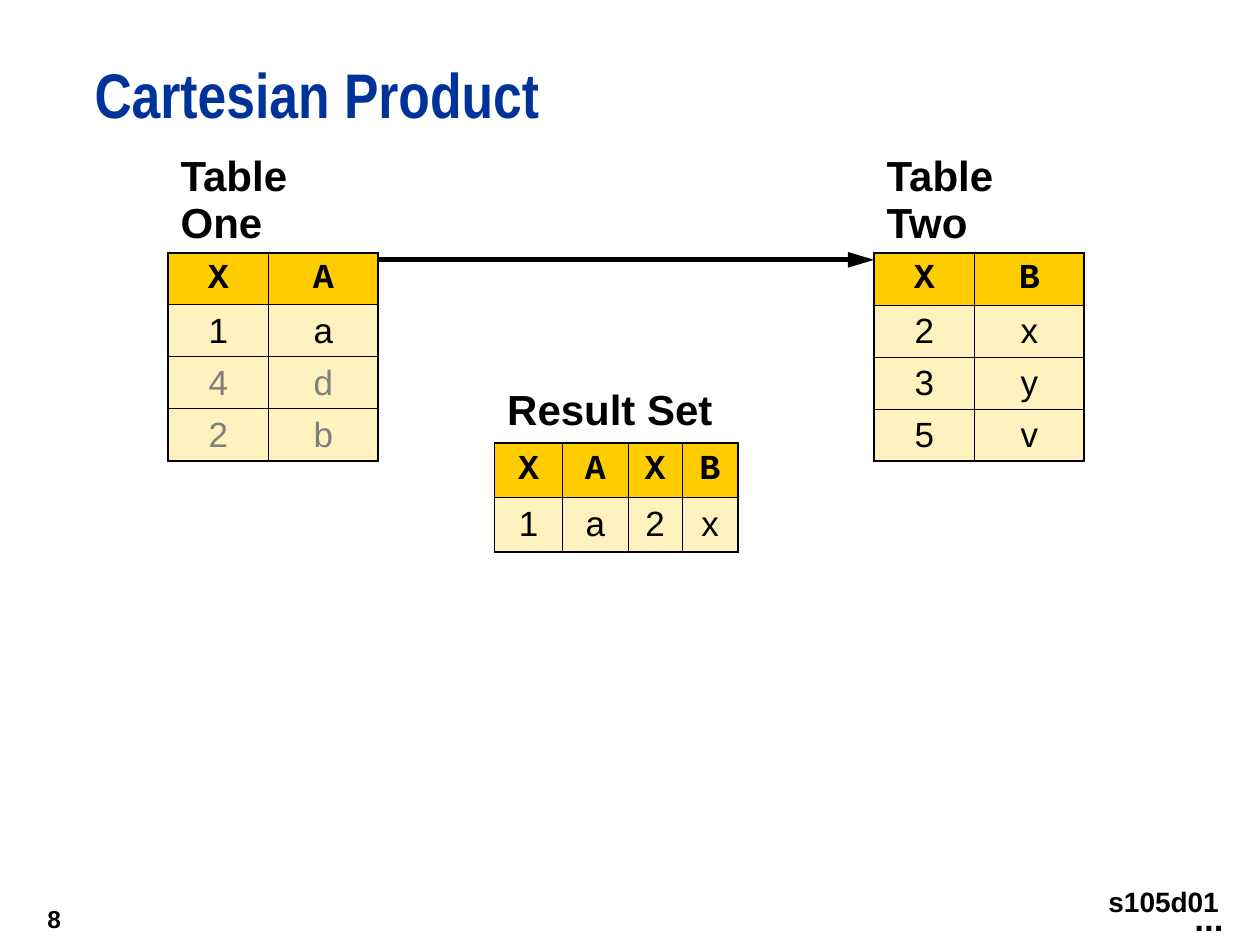
from lxml import etree
from pptx import Presentation
from pptx.dml.color import RGBColor
from pptx.enum.shapes import MSO_CONNECTOR
from pptx.enum.text import MSO_ANCHOR as Anchor, PP_ALIGN as Align
from pptx.oxml.ns import qn
from pptx.util import Pt

BLACK, GREY, BLUE = "000000", "808080", "003399"
GOLD, CREAM = "FFCC00", "FFF2BE"
THIN, THICK = 0.45, 1.08


def color(value):
    return RGBColor.from_string(value)


def set_border(cell, side, width):
    """Draw one side (L, R, T or B) of a cell; a width of 0 hides it."""
    line = etree.SubElement(cell._tc.get_or_add_tcPr(), qn(f"a:ln{side}"), w=str(Pt(width)))
    if width:
        fill = etree.SubElement(line, qn("a:solidFill"))
        etree.SubElement(fill, qn("a:srgbClr"), val=BLACK)
    else:
        etree.SubElement(line, qn("a:noFill"))


deck = Presentation()
deck.slide_width, deck.slide_height = Pt(720), Pt(540)
page = deck.slides.add_slide(deck.slide_layouts[6])

# Title
title = page.shapes.add_textbox(Pt(54), Pt(36), Pt(666), Pt(54))
frame = title.text_frame
frame.word_wrap = True
frame.margin_left = frame.margin_right = frame.margin_top = frame.margin_bottom = 0
para = frame.paragraphs[0]
para.text = "Cartesian Product"
para.line_spacing = Pt(39)
para.font.name, para.font.size, para.font.bold = "Arial Narrow", Pt(36), True
para.font.color.rgb = color(BLUE)

# Tables: caption, left, top, column widths, row heights, rows, first grey row,
# vertical margins of the caption and of the other cells
tables = [
    ("Table One", 96, 84.3, [57.5, 62.5], [28.8, 23.8, 23.8, 23.8, 25.2],
     ["XA", "1a", "4d", "2b"], 3, 1.3, 2.85),
    ("Table Two", 499.5, 84.5, [57.5, 62.5], [28.8, 24.1, 24.1, 24.1, 24.1],
     ["XB", "2x", "3y", "5v"], None, 1.3, 2.85),
    ("Result Set", 282.6, 217, [38.9, 37.4, 31, 31.7], [28.8, 24.1, 24.1],
     ["XAXB", "1a2x"], None, 3.6, 3.6),
]
for (caption, left, top, widths, heights, rows, grey_from,
     caption_margin, cell_margin) in tables:
    last_row, last_column = len(heights) - 1, len(widths) - 1
    table = page.shapes.add_table(
        len(heights), len(widths), Pt(left), Pt(top), Pt(sum(widths)), Pt(sum(heights))).table
    table.first_row = table.horz_banding = False
    for column, width in zip(table.columns, widths):
        column.width = Pt(width)
    for row, height in zip(table.rows, heights):
        row.height = Pt(height)
    table.cell(0, 0).merge(table.cell(0, last_column))

    for r in range(len(heights)):
        for c in range(len(widths)):
            cell = table.cell(r, c)
            cell.vertical_anchor = Anchor.MIDDLE
            cell.margin_top = cell.margin_bottom = Pt(caption_margin if r == 0 else cell_margin)
            if r == 0:
                borders = {"L": 0, "R": 0, "T": 0, "B": THICK}
            else:
                borders = {
                    "L": THICK if c == 0 else THIN,
                    "R": THICK if c == last_column else THIN,
                    "T": THICK if r == 1 else THIN,
                    "B": THICK if r == last_row else THIN,
                }
            for side, width in borders.items():
                set_border(cell, side, width)
            if r == 0:
                cell.fill.background()
                if c > 0:
                    continue
            else:
                cell.fill.solid()
                cell.fill.fore_color.rgb = color(GOLD if r == 1 else CREAM)

            para = cell.text_frame.paragraphs[0]
            para.text = caption if r == 0 else rows[r - 1][c]
            para.alignment = Align.LEFT if r == 0 else Align.CENTER
            para.font.name = "Courier New" if r == 1 else "Arial"
            para.font.size = Pt(24 if r == 0 else 20)
            para.font.bold = r < 2
            is_grey = grey_from is not None and r >= grey_from
            para.font.color.rgb = color(GREY if is_grey else BLACK)

# Arrow from the first row of Table One to Table Two
arrow = page.shapes.add_connector(
    MSO_CONNECTOR.STRAIGHT, Pt(215.5), Pt(148.5), Pt(499.5), Pt(148.5))
arrow.line.color.rgb = color(BLACK)
arrow.line.width = Pt(3)
etree.SubElement(arrow.line._get_or_add_ln(), qn("a:tailEnd"), type="triangle", w="med", len="lg")
etree.SubElement(arrow._element.spPr, qn("a:effectLst"))

# Footer: text, left, top, width, height, size, alignment, anchor, vertical margin
footers = [
    ("8", 0, 510, 42, 30, 14, Align.RIGHT, Anchor.MIDDLE, 3.6),
    ("...", 675.5, 508.5, 31, 31.5, 20, Align.LEFT, Anchor.TOP, 3.6),
    ("s105d01", 621.5, 498, 82, 33, 16, Align.RIGHT, Anchor.TOP, 7.2),
]
for text, left, top, width, height, size, alignment, anchor, margin in footers:
    box = page.shapes.add_textbox(Pt(left), Pt(top), Pt(width), Pt(height))
    frame = box.text_frame
    frame.word_wrap = False
    frame.vertical_anchor = anchor
    frame.margin_top = frame.margin_bottom = Pt(margin)
    para = frame.paragraphs[0]
    para.text = text
    para.alignment = alignment
    para.font.name, para.font.size, para.font.bold = "Arial", Pt(size), True
    para.font.color.rgb = color(BLACK)

deck.save("out.pptx")
